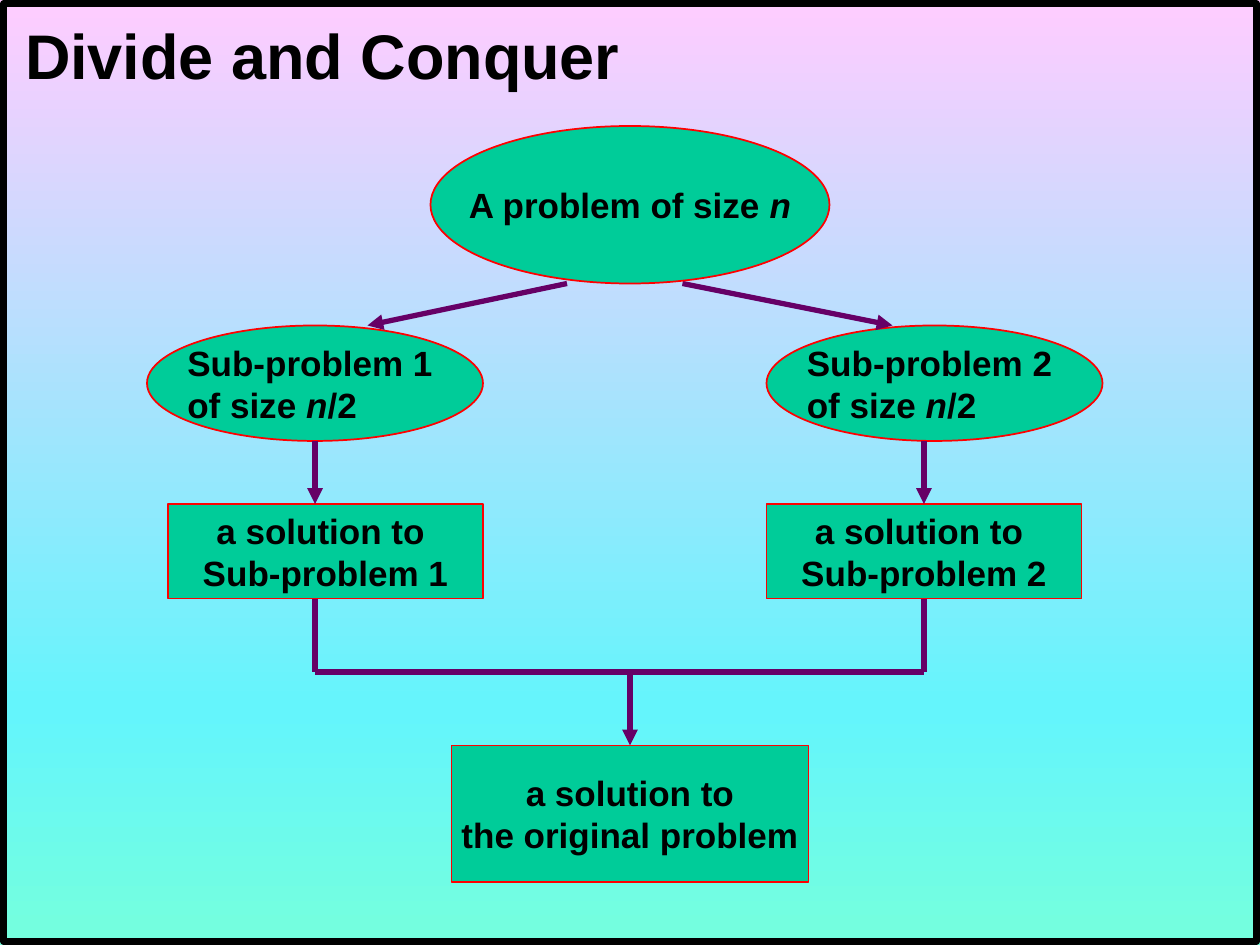
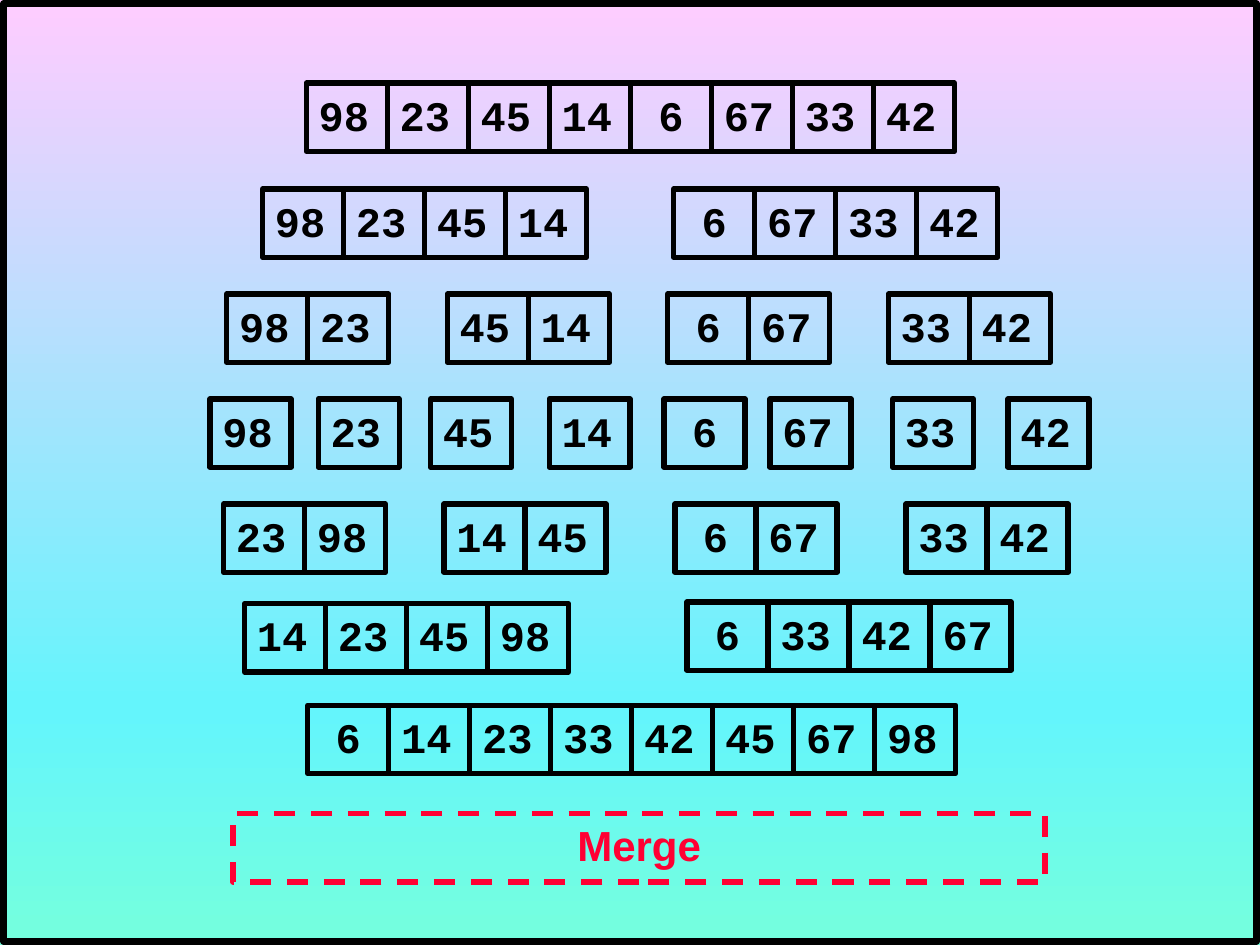
"""Build two slides on divide and conquer, with merge sort as the example."""
from dataclasses import dataclass
from lxml.etree import SubElement as Sub
from pptx import Presentation
from pptx.dml.color import RGBColor as RGB
from pptx.enum.dml import MSO_LINE as Dash
from pptx.enum.shapes import MSO_CONNECTOR as Link, MSO_SHAPE as Form
from pptx.enum.text import MSO_ANCHOR as Anchor, MSO_AUTO_SIZE as Fit, PP_ALIGN as Align
from pptx.oxml.ns import qn
from pptx.util import Pt


@dataclass(frozen=True)
class Theme:
    ink: str = "000000"
    node: str = "00CC99"
    edge: str = "FF0000"
    arrow: str = "660066"
    merge: str = "FF0033"
    sky: tuple = ((0, "FFCCFF"), (75, "64F5FC"), (100, "75FFDD"))
    sans: str = "Arial"
    mono: str = "Courier New"
    title: int = 36
    body: int = 20
    digit: int = 24


class Deck:
    def __init__(self, theme):
        self.theme = theme
        self.show = Presentation()
        self.show.slide_width, self.show.slide_height = Pt(720), Pt(540)
        self.slide = None
        self.paint()

    def paint(self):
        master = self.show.slide_master
        fill = master.background.fill
        fill.gradient()
        fill.gradient_angle = 270
        stops = master._element.find(".//" + qn("a:gsLst"))
        for stop in list(stops):
            stops.remove(stop)
        for place, color in self.theme.sky:
            stop = Sub(stops, qn("a:gs"), pos=str(place * 1000))
            Sub(stop, qn("a:srgbClr"), val=color)

    def page(self):
        self.slide = self.show.slides.add_slide(self.show.slide_layouts[6])
        self.shape(Form.RECTANGLE, (2, 2, 716, 536), self.theme.ink, 3.75)

    def shape(self, form, box, edge, width, fill=None):
        item = self.slide.shapes.add_shape(form, *map(Pt, box))
        item.shadow.inherit = False
        if fill:
            item.fill.solid()
            item.fill.fore_color.rgb = RGB.from_string(fill)
        else:
            item.fill.background()
        item.line.color.rgb = RGB.from_string(edge)
        item.line.width = Pt(width)
        return item

    def label(self, item, lines, size, face, color=None, wrap=False, anchor=Anchor.TOP):
        frame = item.text_frame
        frame.word_wrap, frame.vertical_anchor = wrap, anchor
        for i, (text, align) in enumerate(lines):
            para = frame.add_paragraph() if i else frame.paragraphs[0]
            para.alignment = align
            font = para.font
            font.name, font.size, font.bold = face, Pt(size), True
            font.color.rgb = RGB.from_string(color or self.theme.ink)
            for j, part in enumerate(text.split("*")):
                if part:
                    run = para.add_run()
                    run.text = part
                    if j % 2:
                        run.font.italic = True

    def title(self, text):
        item = self.slide.shapes.add_textbox(Pt(7.2), Pt(6), Pt(358), Pt(51))
        self.label(item, [(text, Align.LEFT)], self.theme.title, self.theme.sans)
        item.text_frame.auto_size = Fit.SHAPE_TO_FIT_TEXT

    def node(self, form, box, *lines, last=Align.CENTER):
        item = self.shape(form, box, self.theme.edge, 1, self.theme.node)
        pairs = [(text, Align.CENTER) for text in lines[:-1]] + [(lines[-1], last)]
        self.label(item, pairs, self.theme.body, self.theme.sans, anchor=Anchor.MIDDLE)

    def line(self, start, end, head=True):
        item = self.slide.shapes.add_connector(Link.STRAIGHT, *map(Pt, start + end))
        item.line.color.rgb = RGB.from_string(self.theme.arrow)
        item.line.width = Pt(3)
        props = item._element.spPr
        if head:
            Sub(props.find(qn("a:ln")), qn("a:tailEnd"), type="triangle")
        Sub(props, qn("a:effectLst"))

    def cells(self, left, top, values):
        wide = 46.3
        for i, value in enumerate(values.split()):
            box = (left + i * wide, top, wide, 39)
            item = self.shape(Form.RECTANGLE, box, self.theme.ink, 3)
            align = Align.CENTER if len(value) == 1 else Align.LEFT
            self.label(item, [(value, align)], self.theme.digit, self.theme.mono)

    def banner(self, box, text):
        item = self.shape(Form.RECTANGLE, box, self.theme.merge, 3)
        item.line.dash_style = Dash.DASH
        self.label(item, [(text, Align.CENTER)], self.theme.digit, self.theme.sans,
                   self.theme.merge, wrap=True)
        item.text_frame.auto_size = Fit.SHAPE_TO_FIT_TEXT


deck = Deck(Theme())

deck.page()
deck.title("Divide and Conquer")
branches = ((1, 84, 96, 180, 324, 210), (2, 438, 438, 528, 390, 510))
for num, oval, rect, mid, start, end in branches:
    deck.node(Form.OVAL, (oval, 186, 192, 66),
              f"Sub-problem {num} ", "of size *n*/2", last=Align.LEFT)
    deck.node(Form.RECTANGLE, (rect, 288, 180, 54), "a solution to ", f"Sub-problem {num}")
    deck.line((start, 162), (end, 186))
    deck.line((mid, 252), (mid, 288))
    deck.line((mid, 342), (mid, 384), head=False)
deck.node(Form.OVAL, (246, 72, 228, 90), "A problem of size *n*")
deck.line((180, 384), (528, 384), head=False)
deck.line((360, 384), (360, 426))
deck.node(Form.RECTANGLE, (258, 426, 204, 78), "a solution to", "the original problem")

deck.page()
rows = (
    (47.5, ((175, "98 23 45 14 6 67 33 42"),)),
    (108, ((150, "98 23 45 14"), (385, "6 67 33 42"))),
    (168, ((129.6, "98 23"), (255.6, "45 14"), (381.6, "6 67"), (507.6, "33 42"))),
    (228, ((120, "98"), (181.8, "23"), (246, "45"), (313.8, "14"),
           (379.5, "6"), (440, "67"), (510, "33"), (576, "42"))),
    (288, ((127.7, "23 98"), (253.7, "14 45"), (385.7, "6 67"), (517.7, "33 42"))),
    (345, ((139.7, "14 23 45 98"),)),
    (344, ((392.6, "6 33 42 67"),)),
    (403, ((175.8, "6 14 23 33 42 45 67 98"),)),
)
for top, groups in rows:
    for left, values in groups:
        deck.cells(left, top, values)
deck.banner((133.2, 465, 464, 39), "Merge")

deck.show.save("out.pptx")
